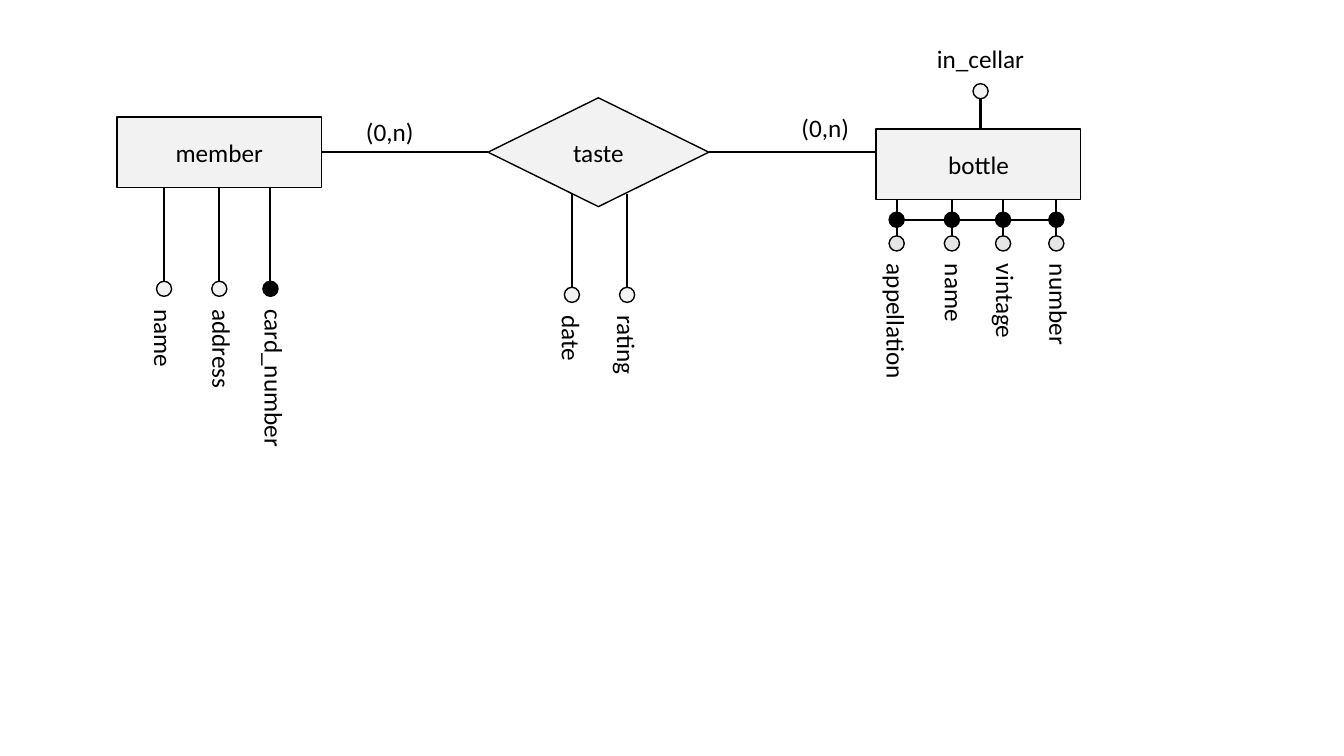
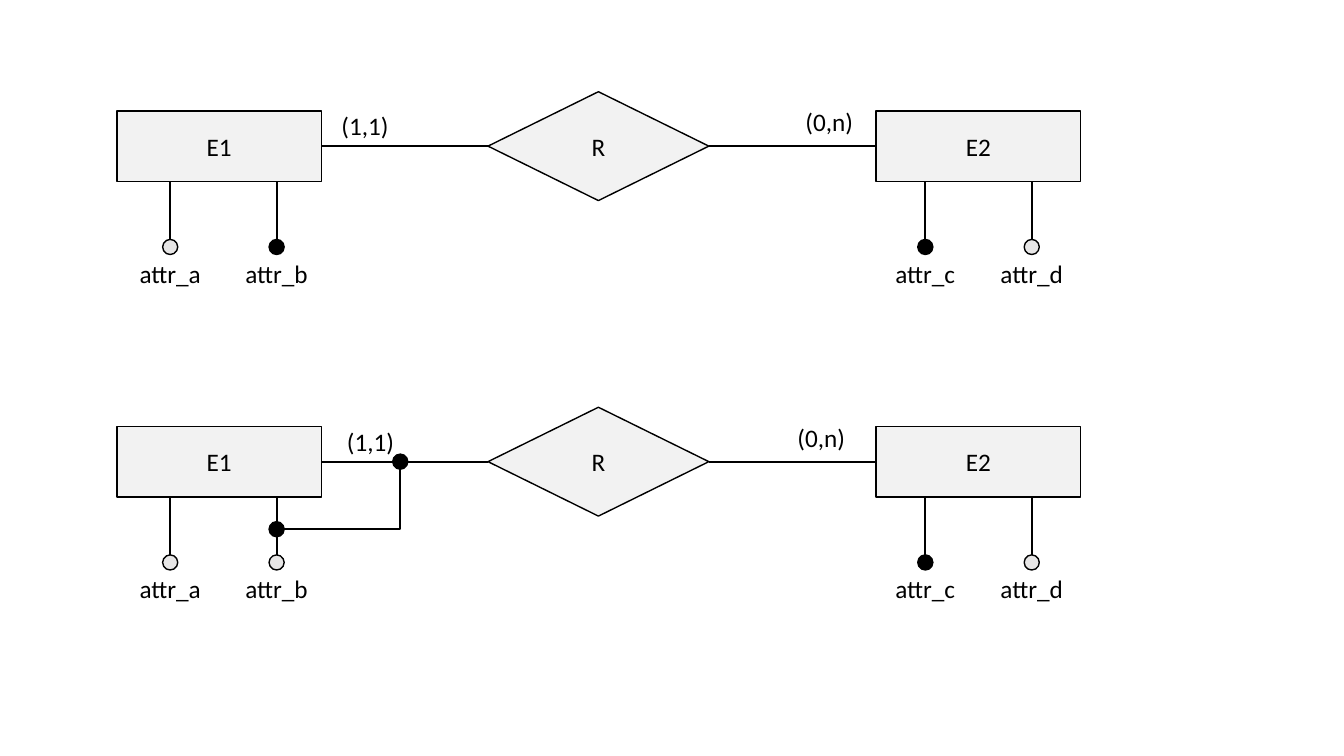
from dataclasses import dataclass
from lxml import etree
from pptx import Presentation
from pptx.dml.color import RGBColor
from pptx.enum.shapes import MSO_CONNECTOR, MSO_SHAPE
from pptx.enum.text import MSO_ANCHOR, MSO_AUTO_SIZE, PP_ALIGN
from pptx.oxml.ns import qn
from pptx.util import Inches, Pt

RECTANGLE = MSO_SHAPE.RECTANGLE
DIAMOND = MSO_SHAPE.FLOWCHART_DECISION
CIRCLE = MSO_SHAPE.OVAL
STRAIGHT = MSO_CONNECTOR.STRAIGHT
ELBOW = MSO_CONNECTOR.ELBOW
MIDDLE = MSO_ANCHOR.MIDDLE
TOP = MSO_ANCHOR.TOP
GROW = MSO_AUTO_SIZE.SHAPE_TO_FIT_TEXT
CENTER = PP_ALIGN.CENTER
LEFT = PP_ALIGN.LEFT

CELL = Inches(0.1)
BLANK_LAYOUT = 6
ENTITY_WIDTH, ENTITY_HEIGHT = 20.3, 7
DIAMOND_WIDTH, DIAMOND_HEIGHT = 21.9, 10.8
FIRST_COLUMN, DIAMOND_COLUMN, SECOND_COLUMN = 11.6, 48.4, 86.9
DOT = 1.5
LABEL_HEIGHT = 4
LABEL_WIDTH = 12.6


@dataclass(frozen=True)
class Theme:
    font: str = "Calibri"
    size: float = 18
    outline: float = 1
    stroke: float = 1.5
    ink: str = "000000"
    surface: str = "F2F2F2"
    shade: str = "E7E6E6"


@dataclass(frozen=True)
class Box:
    left: float
    top: float
    width: float
    height: float

    @property
    def right(self):
        return self.left + self.width

    @property
    def bottom(self):
        return self.top + self.height

    @property
    def middle(self):
        return self.top + self.height / 2

    def column(self, share):
        return self.left + share * self.width

    def frame(self):
        return [cells(part) for part in (self.left, self.top, self.width, self.height)]


@dataclass(frozen=True)
class Attribute:
    name: str
    share: float
    fill: str
    length: float = 16.7
    shift: float = 0


THEME = Theme()


def cells(count):
    return round(count * CELL)


def write(shape, text, align=CENTER, anchor=TOP):
    frame = shape.text_frame
    frame.word_wrap = True
    frame.vertical_anchor = anchor
    para = frame.paragraphs[0]
    para.alignment = align
    span = para.add_run()
    span.text = text
    span.font.name = THEME.font
    span.font.size = Pt(THEME.size)
    span.font.color.rgb = RGBColor.from_string(THEME.ink)


def add_label(canvas, text, box, align=CENTER, rotation=0):
    label = canvas.add_textbox(*box.frame())
    write(label, text, align=align)
    label.text_frame.auto_size = GROW
    label.rotation = rotation


def add_figure(canvas, kind, box, fill, text=None):
    figure = canvas.add_shape(kind, *box.frame())
    figure.shadow.inherit = False
    figure.fill.solid()
    figure.fill.fore_color.rgb = RGBColor.from_string(fill)
    figure.line.color.rgb = RGBColor.from_string(THEME.ink)
    figure.line.width = Pt(THEME.outline)
    if text:
        write(figure, text, anchor=MIDDLE)


def add_dot(canvas, column, row, fill=THEME.ink):
    add_figure(canvas, CIRCLE, Box(column - DOT / 2, row - DOT / 2, DOT, DOT), fill)


def add_link(canvas, start, end, kind=STRAIGHT):
    link = canvas.add_connector(kind, *[cells(part) for part in (*start, *end)])
    link.line.color.rgb = RGBColor.from_string(THEME.ink)
    link.line.width = Pt(THEME.stroke)
    etree.SubElement(link._element.spPr, qn("a:effectLst"))
    return link


def add_elbow(canvas, start, end, turn):
    link = add_link(canvas, start, end, ELBOW)
    geometry = link._element.spPr.find(qn("a:prstGeom"))
    guides = geometry.find(qn("a:avLst"))
    share = (turn - start[0]) / (end[0] - start[0])
    etree.SubElement(guides, qn("a:gd"), name="adj1", fmla=f"val {round(share * 100000)}")


def add_attributes(canvas, box, attributes, reach, upright=False, overlap=0):
    start = box.bottom - overlap
    tip = start + reach
    for attribute in attributes:
        column = box.column(attribute.share)
        add_link(canvas, (column, start), (column, tip))
        add_dot(canvas, column, tip + DOT / 2, attribute.fill)
        if upright:
            place = Box(column - LABEL_WIDTH / 2, tip + 1.35, LABEL_WIDTH, LABEL_HEIGHT)
            add_label(canvas, attribute.name, place)
        else:
            length = attribute.length
            place = Box(column + attribute.shift - length / 2,
                        tip + 1.8 + (length - LABEL_HEIGHT) / 2, length, LABEL_HEIGHT)
            add_label(canvas, attribute.name, place, align=LEFT, rotation=90)


def add_top_attribute(canvas, box, attribute, reach):
    column = box.column(attribute.share)
    tip = box.top - reach
    add_link(canvas, (column, box.top), (column, tip))
    add_dot(canvas, column, tip - DOT / 2, attribute.fill)
    place = Box(column - LABEL_WIDTH / 2, tip - 6, LABEL_WIDTH, LABEL_HEIGHT)
    add_label(canvas, attribute.name, place)


def add_composite_key(canvas, box, attributes, depth):
    columns = [box.column(attribute.share) for attribute in attributes]
    row = box.bottom + depth
    add_link(canvas, (columns[0], row), (columns[-1], row))
    for column in columns:
        add_dot(canvas, column, row)


def add_external_key(canvas, box, share, axis, turn, depth):
    column, row = box.column(share), box.bottom + depth
    add_elbow(canvas, (45.6, axis), (column, row), turn)
    add_dot(canvas, column, row)
    add_dot(canvas, turn, axis)


def add_relation(canvas, axis, names, counts, count_widths, second_drop=0):
    tops = (axis - ENTITY_HEIGHT / 2, axis - DIAMOND_HEIGHT / 2,
            axis - ENTITY_HEIGHT / 2 + second_drop)
    first = Box(FIRST_COLUMN, tops[0], ENTITY_WIDTH, ENTITY_HEIGHT)
    diamond = Box(DIAMOND_COLUMN, tops[1], DIAMOND_WIDTH, DIAMOND_HEIGHT)
    second = Box(SECOND_COLUMN, tops[2], ENTITY_WIDTH, ENTITY_HEIGHT)
    boxes = (first, diamond, second)
    for kind, box, name in zip((RECTANGLE, DIAMOND, RECTANGLE), boxes, names):
        add_figure(canvas, kind, box, THEME.surface, name)
    for start, end in zip(boxes, boxes[1:]):
        add_link(canvas, (start.right, axis), (end.left, axis))
    left_width, right_width = count_widths
    add_label(canvas, counts[0], Box(first.right, axis - 4, left_width, LABEL_HEIGHT))
    add_label(canvas, counts[1],
              Box(second.left + 0.4 - right_width, axis - 4.4, right_width, LABEL_HEIGHT))
    return boxes


def add_canvas(page):
    return page.shapes.add_group_shape().shapes


def build_tasting(page):
    canvas = add_canvas(page)
    member, taste, bottle = add_relation(
        canvas, 15.1, ("member", "taste", "bottle"), ("(0,n)", "(0,n)"),
        (13.5, 10.9), second_drop=1.2)
    add_attributes(canvas, member, (
        Attribute("name", 0.23, THEME.surface),
        Attribute("address", 0.5, THEME.surface, shift=0.3),
        Attribute("card_number", 0.75, THEME.ink, length=17.4, shift=0.4),
    ), reach=9.3)
    add_attributes(canvas, taste, (
        Attribute("date", 0.38, THEME.surface),
        Attribute("rating", 0.63, THEME.surface),
    ), reach=9.3, overlap=1.3)
    bottle_keys = (
        Attribute("appellation", 0.1, THEME.shade),
        Attribute("name", 0.37, THEME.shade, shift=0.3),
        Attribute("vintage", 0.62, THEME.shade, length=13.4, shift=0.3),
        Attribute("number", 0.88, THEME.shade, length=17.4, shift=0.3),
    )
    add_attributes(canvas, bottle, bottle_keys, reach=3.6)
    add_composite_key(canvas, bottle, bottle_keys, depth=2)
    add_top_attribute(canvas, bottle, Attribute("in_cellar", 0.51, THEME.surface), reach=3)


def build_schema(page, axis, count_widths, external):
    canvas = add_canvas(page)
    first, _, second = add_relation(
        canvas, axis, ("E1", "R", "E2"), ("(1,1)", "(0,n)"), count_widths)
    key_share = 0.78
    add_attributes(canvas, first, (
        Attribute("attr_a", 0.26, THEME.shade),
        Attribute("attr_b", key_share, THEME.shade if external else THEME.ink),
    ), reach=5.75, upright=True)
    add_attributes(canvas, second, (
        Attribute("attr_c", 0.24, THEME.ink),
        Attribute("attr_d", 0.76, THEME.shade),
    ), reach=5.75, upright=True)
    if external:
        add_external_key(canvas, first, key_share, axis, turn=39.7, depth=3.2)


def build_identifiers(page):
    build_schema(page, 14.5, (8.6, 10.1), external=False)
    build_schema(page, 45.8, (9.7, 11.7), external=True)


def main():
    deck = Presentation()
    deck.slide_width, deck.slide_height = Inches(13.33), Inches(7.5)
    for build in (build_tasting, build_identifiers):
        build(deck.slides.add_slide(deck.slide_layouts[BLANK_LAYOUT]))
    deck.save("out.pptx")


main()
